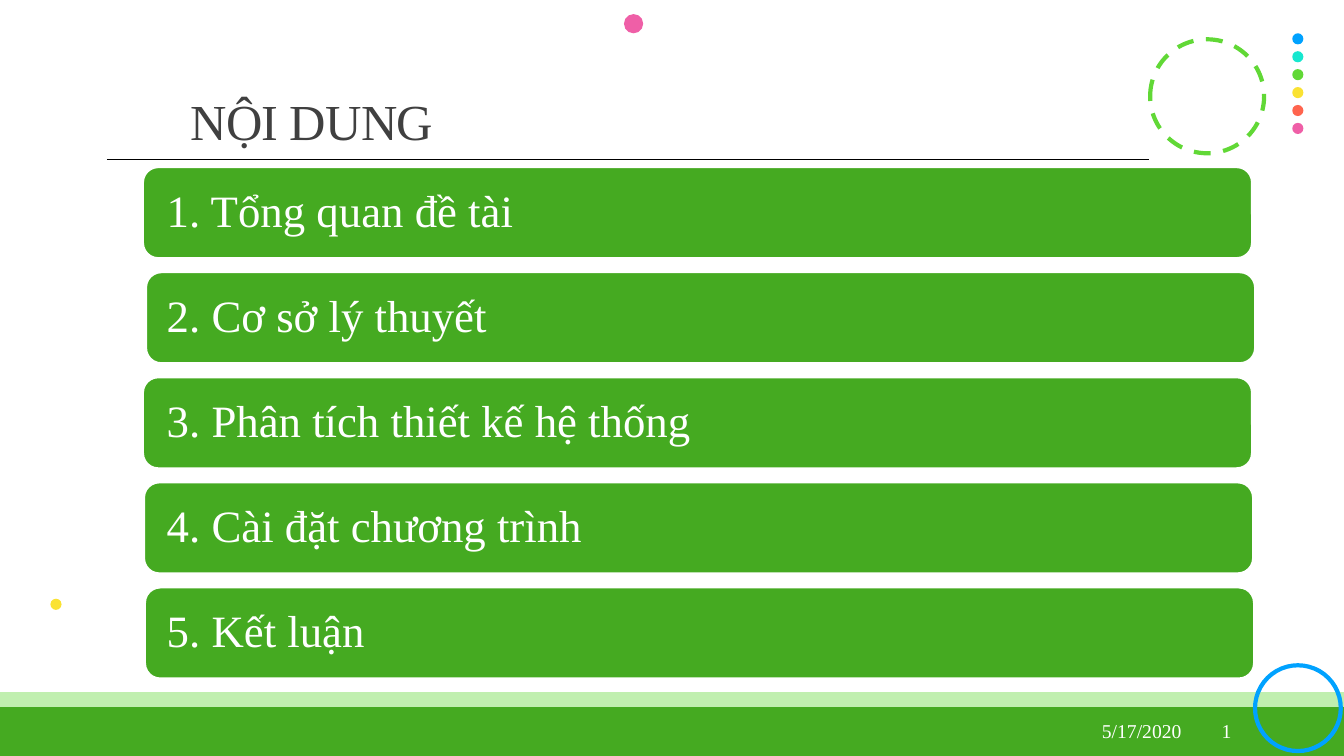
from dataclasses import dataclass
from typing import Optional

from lxml.etree import SubElement
from pptx import Presentation
from pptx.dml.color import RGBColor
from pptx.enum.dml import MSO_LINE
from pptx.enum.shapes import MSO_CONNECTOR, MSO_SHAPE
from pptx.enum.text import MSO_ANCHOR, MSO_AUTO_SIZE, PP_ALIGN
from pptx.oxml.ns import qn
from pptx.shapes.autoshape import Shape
from pptx.slide import Slide
from pptx.text.text import TextFrame
from pptx.util import Emu, Inches, Pt

SLIDE_WIDTH = Inches(40 / 3)
SLIDE_HEIGHT = Inches(7.5)
FONT = "Times New Roman"

BLUE = RGBColor(0x00, 0xA2, 0xFF)
TURQUOISE = RGBColor(0x16, 0xE7, 0xCF)
LIME = RGBColor(0x61, 0xD8, 0x36)
YELLOW = RGBColor(0xFA, 0xE2, 0x32)
CORAL = RGBColor(0xFF, 0x64, 0x4E)
PINK = RGBColor(0xEF, 0x5F, 0xA7)
GREEN = RGBColor(0x45, 0xAA, 0x21)
PALE_GREEN = RGBColor(0xC0, 0xEF, 0xAF)
WHITE = RGBColor(0xFF, 0xFF, 0xFF)
BLACK = RGBColor(0x00, 0x00, 0x00)
CHARCOAL = RGBColor(0x40, 0x40, 0x40)


def across(percent: float) -> Emu:
    return Emu(round(SLIDE_WIDTH * percent / 100))


def down(percent: float) -> Emu:
    return Emu(round(SLIDE_HEIGHT * percent / 100))


@dataclass(frozen=True)
class Area:
    left: float
    top: float
    width: float
    height: float

    def lengths(self) -> tuple[Emu, Emu, Emu, Emu]:
        return across(self.left), down(self.top), across(self.width), down(self.height)


@dataclass(frozen=True)
class Circle:
    left: float
    top: float
    diameter: float
    fill: Optional[RGBColor] = None
    outline: Optional[RGBColor] = None
    dash: Optional[MSO_LINE] = None

    def area(self) -> Area:
        return Area(self.left, self.top, self.diameter,
                    self.diameter * SLIDE_WIDTH / SLIDE_HEIGHT)


@dataclass(frozen=True)
class Band:
    area: Area
    color: RGBColor


@dataclass(frozen=True)
class Chapter:
    left: float
    heading: str


@dataclass(frozen=True)
class FooterItem:
    area: Area
    wording: str
    alignment: PP_ALIGN


DOT_SIZE = 0.83
DOT_TOP, DOT_PITCH = 4.4, 2.37
DOT_COLORS = (BLUE, TURQUOISE, LIME, YELLOW, CORAL, PINK)
CIRCLES = [
    *(Circle(96.15, DOT_TOP + row * DOT_PITCH, DOT_SIZE, fill=color)
      for row, color in enumerate(DOT_COLORS)),
    Circle(85.58, 5.2, 8.48, outline=LIME, dash=MSO_LINE.DASH),
    Circle(46.43, 1.87, 1.43, fill=PINK),
    Circle(3.75, 79.2, DOT_SIZE, fill=YELLOW),
]
CORNER_RING = Circle(93.38, 88, 6.38, outline=BLUE)
BANDS = (
    Band(Area(0, 93.6, 100, 6.4), GREEN),
    Band(Area(0, 91.6, 100, 1.87), PALE_GREEN),
)
FOOTER = (
    FooterItem(Area(90.15, 94, 6.38, 5.33), "1", PP_ALIGN.LEFT),
    FooterItem(Area(67.43, 94, 21.23, 5.33), "5/17/2020", PP_ALIGN.RIGHT),
)
CHAPTERS = (
    Chapter(10.65, "1. Tổng quan đề tài"),
    Chapter(10.88, "2. Cơ sở lý thuyết"),
    Chapter(10.65, "3. Phân tích thiết kế hệ thống"),
    Chapter(10.73, "4. Cài đặt chương trình"),
    Chapter(10.8, "5. Kết luận"),
)
CHAPTER_TOP, CHAPTER_PITCH = 22.13, 13.9
CHAPTER_WIDTH, CHAPTER_HEIGHT = 82.5, 12
HEADING_LEFT = 12.08


def write(frame: TextFrame, wording: str, size: float, color: RGBColor,
          alignment: PP_ALIGN = PP_ALIGN.LEFT, line_spacing: float = 1.0) -> None:
    frame.word_wrap = True
    frame.auto_size = MSO_AUTO_SIZE.NONE
    frame.vertical_anchor = MSO_ANCHOR.MIDDLE
    paragraph = frame.paragraphs[0]
    paragraph.text = wording
    paragraph.alignment = alignment
    paragraph.line_spacing = line_spacing
    font = paragraph.runs[0].font
    font.name = FONT
    font.size = Pt(size)
    font.color.rgb = color


def draw_shape(slide: Slide, kind: MSO_SHAPE, area: Area, fill: Optional[RGBColor],
               outline: Optional[RGBColor], thickness: float = 1.25) -> Shape:
    shape = slide.shapes.add_shape(kind, *area.lengths())
    shape.shadow.inherit = False
    if fill is None:
        shape.fill.background()
    else:
        shape.fill.solid()
        shape.fill.fore_color.rgb = fill
    if outline is None:
        shape.line.fill.background()
    else:
        shape.line.color.rgb = outline
        shape.line.width = Pt(thickness)
    return shape


def draw_circle(slide: Slide, circle: Circle) -> None:
    shape = draw_shape(slide, MSO_SHAPE.OVAL, circle.area(), circle.fill, circle.outline, 3)
    if circle.dash is not None:
        shape.line.dash_style = circle.dash


def draw_title(slide: Slide) -> None:
    title = slide.shapes.title
    title.left, title.top, title.width, title.height = Area(14.18, 11.73, 51.23, 9.33).lengths()
    frame = title.text_frame
    frame.margin_left = frame.margin_right = 0
    write(frame, "NỘI DUNG", 36, CHARCOAL, line_spacing=0.9)
    frame.paragraphs[0].runs[0]._r.get_or_add_rPr().set("spc", "-50")


def draw_title_rule(slide: Slide) -> None:
    rule = slide.shapes.add_connector(
        MSO_CONNECTOR.STRAIGHT, across(7.95), down(21.07), across(85.5), down(21.07))
    rule.line.color.rgb = BLACK
    rule.line.width = Pt(1)
    SubElement(rule._element.spPr, qn("a:effectLst"))


def draw_footer_item(slide: Slide, item: FooterItem) -> None:
    textbox = slide.shapes.add_textbox(*item.area.lengths())
    write(textbox.text_frame, item.wording, 14, WHITE, item.alignment)


def draw_chapter(slide: Slide, row: int, chapter: Chapter) -> None:
    area = Area(chapter.left, CHAPTER_TOP + row * CHAPTER_PITCH, CHAPTER_WIDTH, CHAPTER_HEIGHT)
    panel = draw_shape(slide, MSO_SHAPE.ROUNDED_RECTANGLE, area, GREEN, WHITE)
    frame = panel.text_frame
    frame.margin_left = across(HEADING_LEFT - chapter.left)
    write(frame, chapter.heading, 32, WHITE, line_spacing=0.9)


def main() -> None:
    presentation = Presentation()
    presentation.slide_width = SLIDE_WIDTH
    presentation.slide_height = SLIDE_HEIGHT
    slide = presentation.slides.add_slide(presentation.slide_layouts.get_by_name("Title Only"))
    for circle in CIRCLES:
        draw_circle(slide, circle)
    for band in BANDS:
        draw_shape(slide, MSO_SHAPE.RECTANGLE, band.area, band.color, band.color)
    draw_circle(slide, CORNER_RING)
    draw_title_rule(slide)
    draw_title(slide)
    for item in FOOTER:
        draw_footer_item(slide, item)
    for row, chapter in enumerate(CHAPTERS):
        draw_chapter(slide, row, chapter)
    presentation.save("out.pptx")


if __name__ == "__main__":
    main()
